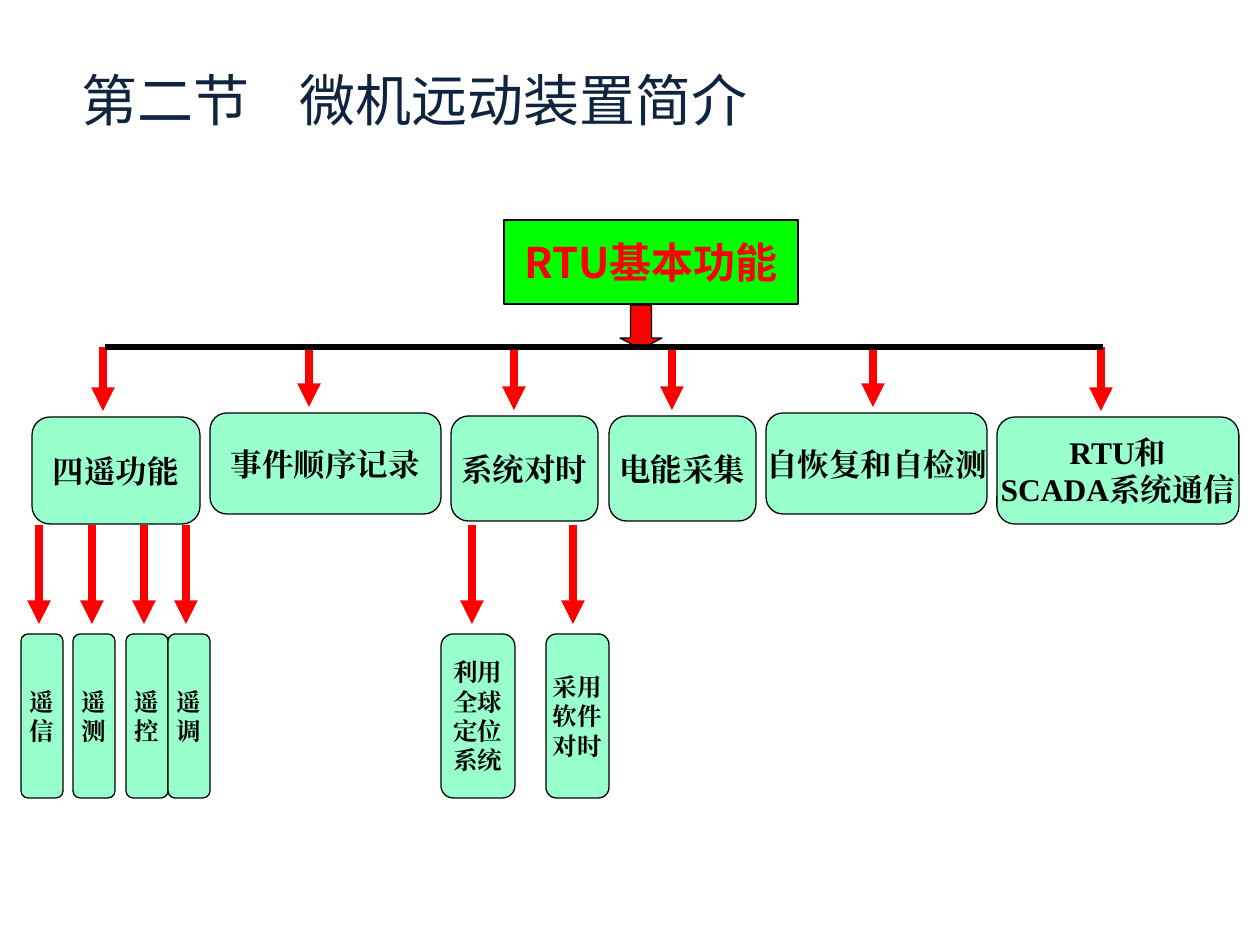
import dataclasses

import pptx
import pptx.dml.color
import pptx.enum.shapes
import pptx.enum.text
import pptx.oxml
import pptx.oxml.ns
import pptx.util

SHAPE = pptx.enum.shapes.MSO_SHAPE
ALIGN = pptx.enum.text.PP_ALIGN
MIDDLE = pptx.enum.text.MSO_ANCHOR.MIDDLE
EMU_PER_PX = 914400 / 126


@dataclasses.dataclass(frozen=True)
class Theme:
    title_color: str = "0F243E"
    root_fill: str = "00FF00"
    node_fill: str = "99FFCC"
    accent: str = "FF0000"
    ink: str = "000000"
    title_font: str = "Noto Sans CJK JP"
    root_font: str = "Noto Sans CJK KR"
    node_font: str = "Times New Roman"
    title_size: int = 32
    root_size: int = 24
    function_size: int = 18
    detail_size: int = 14
    outline: float = 0.75
    bar: float = 3
    arrow: float = 4.5


def px(length):
    return pptx.util.Emu(round(length * EMU_PER_PX))


def rgb(color):
    return pptx.dml.color.RGBColor.from_string(color)


def drawing_xml(tag, attributes=""):
    return pptx.oxml.parse_xml(f'<a:{tag} {pptx.oxml.ns.nsdecls("a")} {attributes}/>')


class FunctionTree:
    def __init__(self, slide, theme):
        self.slide = slide
        self.theme = theme

    def set_text(self, frame, text, size, font, color, bold, align):
        frame.text = text
        frame.vertical_anchor = MIDDLE
        for paragraph in frame.paragraphs:
            paragraph.alignment = align
            for run in paragraph.runs:
                run.font.size = pptx.util.Pt(size)
                run.font.bold = bold
                run.font.color.rgb = rgb(color)
                run.font.name = font
                run.font._element.append(drawing_xml("ea", f'typeface="{font}"'))

    def title(self, text, left, top, width, height):
        heading = self.slide.shapes.title
        heading.left, heading.top = px(left), px(top)
        heading.width, heading.height = px(width), px(height)
        theme = self.theme
        self.set_text(heading.text_frame, text, theme.title_size, theme.title_font,
                      theme.title_color, False, ALIGN.LEFT)

    def block(self, kind, fill, left, top, width, height):
        block = self.slide.shapes.add_shape(kind, px(left), px(top), px(width), px(height))
        block.shadow.inherit = False
        block.fill.solid()
        block.fill.fore_color.rgb = rgb(fill)
        block.line.color.rgb = rgb(self.theme.ink)
        block.line.width = pptx.util.Pt(self.theme.outline)
        return block

    def label(self, block, text, size, font, color):
        frame = block.text_frame
        frame.word_wrap = False
        frame.margin_left = frame.margin_right = 0
        self.set_text(frame, text, size, font, color, True, ALIGN.CENTER)

    def root(self, text, *box):
        theme = self.theme
        block = self.block(SHAPE.FLOWCHART_PROCESS, theme.root_fill, *box)
        self.label(block, text, theme.root_size, theme.root_font, theme.accent)

    def node(self, text, size, *box):
        theme = self.theme
        block = self.block(SHAPE.FLOWCHART_ALTERNATE_PROCESS, theme.node_fill, *box)
        self.label(block, text, size, theme.node_font, theme.ink)

    def block_arrow(self, *box):
        block = self.block(SHAPE.DOWN_ARROW, self.theme.accent, *box)
        block.adjustments[0] = 0.5
        block.adjustments[1] = 0.26

    def line(self, start, end, color, weight):
        line = self.slide.shapes.add_connector(
            pptx.enum.shapes.MSO_CONNECTOR.STRAIGHT, *map(px, (*start, *end)))
        line.line.color.rgb = rgb(color)
        line.line.width = pptx.util.Pt(weight)
        line._element.spPr.append(drawing_xml("effectLst"))
        return line

    def arrow(self, x, top, bottom):
        arrow = self.line((x, top), (x, bottom), self.theme.accent, self.theme.arrow)
        arrow._element.spPr.get_or_add_ln().append(drawing_xml("tailEnd", 'type="triangle"'))


BAR_Y = 347
ARROW_GAP = 6
DETAIL_TOP, DETAIL_HEIGHT = 634, 164
DETAIL_ARROW = (525, 624)

# text, left, top, width, height, arrow x
FUNCTIONS = [
    ("四遥功能", 32, 417, 168, 107, 103),
    ("事件顺序记录", 210, 413, 231, 101, 309),
    ("系统对时", 451, 416, 147, 105, 514),
    ("电能采集", 609, 416, 147, 105, 672),
    ("自恢复和自检测", 766, 413, 221, 101, 873),
    ("RTU和\nSCADA系统通信", 997, 417, 242, 107, 1101),
]
# text, left, width, arrow x
DETAILS = [
    ("遥\n信", 21, 42, 39),
    ("遥\n测", 73, 42, 92),
    ("遥\n控", 126, 42, 144),
    ("遥\n调", 168, 42, 186),
    ("利用\n全球\n定位\n系统", 441, 74, 472),
    ("采用\n软件\n对时", 546, 63, 573),
]


def main():
    deck = pptx.Presentation()
    deck.slide_width, deck.slide_height = px(1260), px(945)
    theme = Theme()
    tree = FunctionTree(deck.slides.add_slide(deck.slide_layouts[5]), theme)

    tree.title("第二节    微机远动装置简介", 69, 20, 1134, 158)
    tree.root("RTU基本功能", 504, 220, 294, 84)
    tree.block_arrow(620, 305, 42, 44)

    for text, left, top, width, height, arrow_x in FUNCTIONS:
        tree.node(text, theme.function_size, left, top, width, height)
        tree.arrow(arrow_x, BAR_Y, top - ARROW_GAP)
    tree.line((105, BAR_Y), (1103, BAR_Y), theme.ink, theme.bar)

    for text, left, width, arrow_x in DETAILS:
        tree.node(text, theme.detail_size, left, DETAIL_TOP, width, DETAIL_HEIGHT)
        tree.arrow(arrow_x, *DETAIL_ARROW)

    deck.save("out.pptx")


if __name__ == "__main__":
    main()
